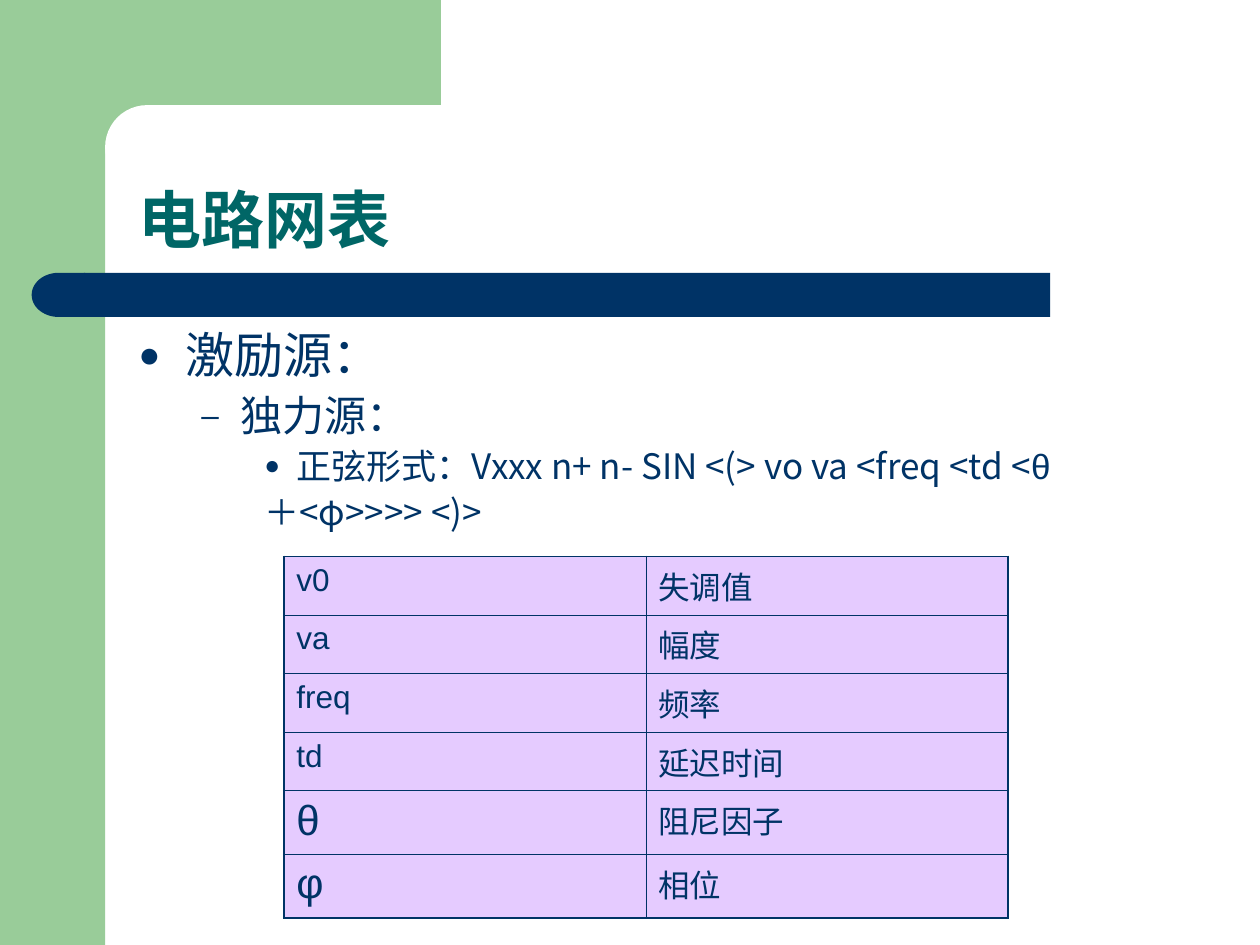
from lxml.etree import SubElement
from pptx import Presentation
from pptx.dml.color import RGBColor
from pptx.enum.shapes import MSO_SHAPE
from pptx.enum.text import MSO_ANCHOR
from pptx.oxml.ns import qn
from pptx.util import Cm, Pt

GREEN, NAVY, TEAL, WHITE, LILAC = "99CC99", "003366", "006666", "FFFFFF", "CC99FF"
CJK, LATIN = "Noto Sans CJK SC", "Arial"

# shape, left, top, width, height, colour, corner adjustment
DECORATION = [
    (MSO_SHAPE.RECTANGLE, 0, 0, 2.12, 19.05, GREEN, None),
    (MSO_SHAPE.RECTANGLE, 1.9, 0, 6.99, 2.96, GREEN, None),
    (MSO_SHAPE.ROUNDED_RECTANGLE, 2.12, 2.12, 14.18, 1.69, WHITE, 0.5),
    (MSO_SHAPE.RECTANGLE, 1.69, 5.5, 19.48, 0.89, NAVY, None),
    (MSO_SHAPE.FLOWCHART_DELAY, 0.64, 5.5, 1.08, 0.89, NAVY, None),
]
TITLE = "电路网表"
# level, bullet, runs as (text, font)
OUTLINE = [
    (0, "●", [("激励源：", CJK)]),
    (1, "–", [("独力源：", CJK)]),
    (2, "●", [("正弦形式：Vxxx n+ n- SIN <(> vo va <freq <td <", CJK), ("θ", LATIN)]),
    (2, None, [("＋<φ>>>> <)>", CJK)]),
]
# text size, space before, left margin, hanging indent
LEVELS = [(28, 7, 0.95, 0.95), (24, 6, 2.06, 0.79), (20, 5, 3.18, 0.64)]
PARAMETERS = [
    ("v0", "失调值"),
    ("va", "幅度"),
    ("freq", "频率"),
    ("td", "延迟时间"),
    ("θ", "阻尼因子"),
    ("φ", "相位"),
]
GREEK = "θφ"
COLUMN_WIDTHS = (7.3, 7.3)
ROW_HEIGHT, GREEK_ROW_HEIGHT = 1.18, 1.28
INNER_LINE, OUTER_LINE = 0.45, 1.08


def rgb(colour):
    return RGBColor.from_string(colour)


def format_run(run, size, font, colour=NAVY, bold=False):
    run.font.size = Pt(size)
    run.font.bold = bold
    run.font.name = font
    run.font.color.rgb = rgb(colour)
    SubElement(run.font._element, qn("a:ea"), typeface=CJK)


def add_decoration(slide):
    for kind, left, top, width, height, colour, corner in DECORATION:
        shape = slide.shapes.add_shape(kind, Cm(left), Cm(top), Cm(width), Cm(height))
        shape.shadow.inherit = False
        shape.fill.solid()
        shape.fill.fore_color.rgb = rgb(colour)
        shape.line.fill.background()
        if corner is not None:
            shape.adjustments[0] = corner
        if kind == MSO_SHAPE.FLOWCHART_DELAY:
            shape._element.spPr.find(qn("a:xfrm")).set("flipH", "1")


def add_text_frame(slide, top, height):
    box = slide.shapes.add_textbox(Cm(2.54), Cm(top), Cm(22.23), Cm(height))
    box.text_frame.word_wrap = True
    return box.text_frame


def add_title(slide):
    frame = add_text_frame(slide, 2.12, 3.18)
    frame.vertical_anchor = MSO_ANCHOR.BOTTOM
    frame.text = TITLE
    paragraph = frame.paragraphs[0]
    paragraph.line_spacing = 0.9
    format_run(paragraph.runs[0], 36, CJK, TEAL, bold=True)


def set_bullet(paragraph, bullet, margin, hanging):
    properties = paragraph._p.get_or_add_pPr()
    properties.set("marL", str(Cm(margin)))
    properties.set("indent", str(-Cm(hanging)))
    if bullet is None:
        SubElement(properties, qn("a:buNone"))
        return
    colour = SubElement(properties, qn("a:buClr"))
    SubElement(colour, qn("a:srgbClr"), val=NAVY)
    SubElement(properties, qn("a:buSzPct"), val="75000")
    SubElement(properties, qn("a:buFont"), typeface=LATIN)
    SubElement(properties, qn("a:buChar"), char=bullet)


def add_outline(slide):
    frame = add_text_frame(slide, 6.56, 4.66)
    for index, (level, bullet, runs) in enumerate(OUTLINE):
        paragraph = frame.add_paragraph() if index else frame.paragraphs[0]
        size, space, margin, hanging = LEVELS[level]
        paragraph.level = level
        paragraph.line_spacing = 0.9
        paragraph.space_before = Pt(space)
        set_bullet(paragraph, bullet, margin, hanging)
        for text, font in runs:
            run = paragraph.add_run()
            run.text = text
            format_run(run, size, font)


def set_borders(cell, outer_sides):
    for side in "LRTB":
        width = OUTER_LINE if side in outer_sides else INNER_LINE
        line = SubElement(cell._tc.get_or_add_tcPr(), qn(f"a:ln{side}"), w=str(Pt(width)))
        fill = SubElement(line, qn("a:solidFill"))
        SubElement(fill, qn("a:srgbClr"), val=NAVY)


def fill_half_transparent(cell, colour):
    cell.fill.solid()
    cell.fill.fore_color.rgb = rgb(colour)
    for element in cell._tc.tcPr.find(qn("a:solidFill")):
        SubElement(element, qn("a:alpha"), val="50000")


def add_parameter_table(slide):
    heights = [GREEK_ROW_HEIGHT if name in GREEK else ROW_HEIGHT for name, _ in PARAMETERS]
    table = slide.shapes.add_table(
        len(PARAMETERS), len(COLUMN_WIDTHS), Cm(5.72), Cm(11.22),
        Cm(sum(COLUMN_WIDTHS)), Cm(sum(heights))).table
    table.first_row = table.horz_banding = False
    for column, width in zip(table.columns, COLUMN_WIDTHS):
        column.width = Cm(width)
    last_row = len(PARAMETERS) - 1
    for row, texts in enumerate(PARAMETERS):
        table.rows[row].height = Cm(heights[row])
        for column, text in enumerate(texts):
            cell = table.cell(row, column)
            outer_sides = "LR"[column] + ("T" if row == 0 else "B" if row == last_row else "")
            set_borders(cell, outer_sides)
            fill_half_transparent(cell, LILAC)
            cell.text_frame.text = text
            paragraph = cell.text_frame.paragraphs[0]
            size = 24 if text in GREEK else 18
            paragraph.space_before = Pt(size / 4)
            format_run(paragraph.runs[0], size, LATIN)


def main():
    presentation = Presentation()
    presentation.slide_width, presentation.slide_height = Cm(25.4), Cm(19.05)
    slide = presentation.slides.add_slide(presentation.slide_layouts[6])
    add_decoration(slide)
    add_title(slide)
    add_outline(slide)
    add_parameter_table(slide)
    presentation.save("out.pptx")


if __name__ == "__main__":
    main()
